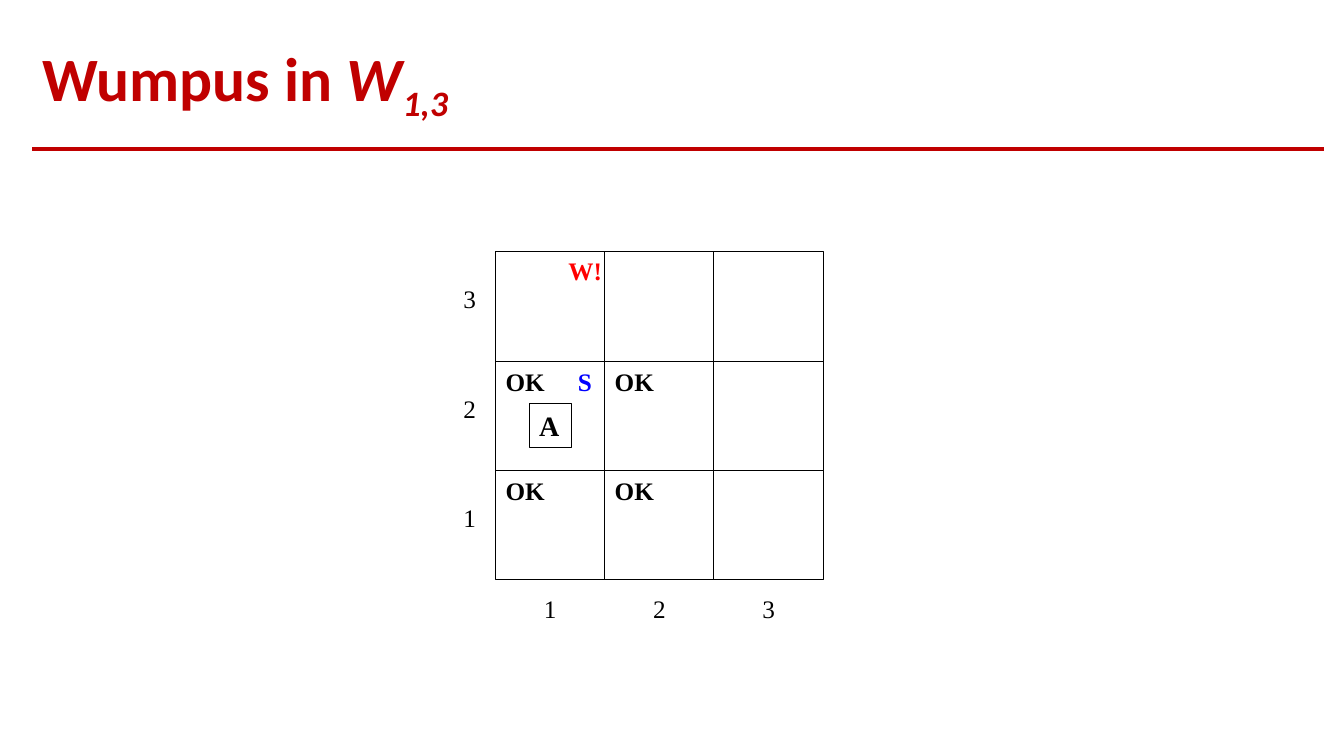
from dataclasses import dataclass

from lxml.etree import SubElement
from pptx import Presentation
from pptx.dml.color import RGBColor
from pptx.enum.shapes import MSO_CONNECTOR, MSO_SHAPE
from pptx.enum.text import MSO_ANCHOR, PP_ALIGN
from pptx.oxml.ns import qn
from pptx.util import Emu, Inches, Pt


@dataclass(frozen=True)
class Theme:
    title_font: str = "Calibri"
    map_font: str = "Times New Roman"
    title_size: int = 44
    label_size: int = 18
    agent_size: int = 20
    accent: RGBColor = RGBColor(0xC0, 0x00, 0x00)
    ink: RGBColor = RGBColor(0x00, 0x00, 0x00)
    paper: RGBColor = RGBColor(0xFF, 0xFF, 0xFF)
    stench: RGBColor = RGBColor(0x00, 0x00, 0xFF)
    wumpus: RGBColor = RGBColor(0xFF, 0x00, 0x00)


@dataclass(frozen=True)
class Mark:
    """A bold label in a room, offset from the room's top left corner."""
    text: str
    column: int
    row: int
    dx: float = 0
    dy: float = 0
    width: float = 8
    color: RGBColor = Theme.ink


THEME = Theme()

# The slide is a grid of 160 columns by 90 rows, each a twelfth of an inch.
COLUMNS, ROWS = 160, 90
ROOM, MAP_LEFT, MAP_TOP, MAP_SIZE = 13, 59, 30, 3
MARGIN, TITLE_TOP, TITLE_HEIGHT, RULE_ROW = 3.84, 3.36, 12, 17.76
LABEL_HEIGHT = 4.8

MARKS = [
    Mark("OK", 1, 1),
    Mark("OK", 1, 2),
    Mark("OK", 2, 1),
    Mark("OK", 2, 2),
    Mark("S", 1, 2, dx=8.6, width=4, color=THEME.stench),
    Mark("W!", 1, 3, dx=7.5, dy=-0.2, width=7, color=THEME.wumpus),
]


def grid(n: float) -> Emu:
    return Emu(round(n * Inches(1) / 12))


def room_corner(column: int, row: int) -> tuple[int, int]:
    """Left and top of a room; rows count upwards from 1."""
    return MAP_LEFT + (column - 1) * ROOM, MAP_TOP + (MAP_SIZE - row) * ROOM


def write(sp, text: str, size: int, color: RGBColor, bold: bool, align=PP_ALIGN.LEFT) -> None:
    tf = sp.text_frame
    tf.word_wrap = True
    tf.vertical_anchor = MSO_ANCHOR.TOP
    p = tf.paragraphs[0]
    p.text = text
    p.alignment = align
    p.font.name = THEME.map_font
    p.font.size = Pt(size)
    p.font.bold = bold
    p.font.color.rgb = color


def add_label(s, text: str, x: float, y: float, width: float,
              color: RGBColor = THEME.ink, bold: bool = False, align=PP_ALIGN.LEFT) -> None:
    sp = s.shapes.add_textbox(grid(x), grid(y), grid(width), grid(LABEL_HEIGHT))
    write(sp, text, THEME.label_size, color, bold, align)


def add_square(s, x: float, y: float, width: float, height: float):
    sp = s.shapes.add_shape(MSO_SHAPE.RECTANGLE, grid(x), grid(y), grid(width), grid(height))
    sp.shadow.inherit = False
    sp.fill.solid()
    sp.fill.fore_color.rgb = THEME.paper
    sp.line.color.rgb = THEME.ink
    sp.line.width = Pt(0.75)
    return sp


def add_title(s) -> None:
    sp = s.shapes.title
    sp.left, sp.top = grid(MARGIN), grid(TITLE_TOP)
    sp.width, sp.height = grid(COLUMNS - MARGIN - 2.32), grid(TITLE_HEIGHT)
    sp.text_frame.vertical_anchor = MSO_ANCHOR.MIDDLE
    p = sp.text_frame.paragraphs[0]
    p.alignment = PP_ALIGN.LEFT
    p.line_spacing = 0.9
    p.font.name = THEME.title_font
    p.font.size = Pt(THEME.title_size)
    p.font.bold = True
    p.font.color.rgb = THEME.accent
    p.add_run().text = "Wumpus in "
    for text in ("W", "1,3"):
        r = p.add_run()
        r.text = text
        r.font.italic = True
    r._r.get_or_add_rPr().set("baseline", "-25000")


def add_rule(s) -> None:
    line = s.shapes.add_connector(MSO_CONNECTOR.STRAIGHT, grid(MARGIN), grid(RULE_ROW),
                                  grid(COLUMNS - 2.32), grid(RULE_ROW))
    line.line.color.rgb = THEME.accent
    line.line.width = Pt(2.5)
    SubElement(line._element.spPr, qn("a:effectLst"))


def add_map(s) -> None:
    numbers = range(1, MAP_SIZE + 1)
    for column in numbers:
        for row in numbers:
            add_square(s, *room_corner(column, row), ROOM, ROOM)
    for n in numbers:
        x, y = room_corner(n, n)
        add_label(s, str(n), MAP_LEFT - 5, y + 3.2, 6)
        add_label(s, str(n), x, MAP_TOP + MAP_SIZE * ROOM + 1, ROOM, align=PP_ALIGN.CENTER)
    for mark in MARKS:
        x, y = room_corner(mark.column, mark.row)
        add_label(s, mark.text, x + mark.dx, y + mark.dy, mark.width, mark.color, bold=True)


def add_agent(s) -> None:
    x, y = room_corner(1, 2)
    sp = add_square(s, x + 4, y + 5, 5.1, 5.25)
    write(sp, "A", THEME.agent_size, THEME.ink, bold=True)


def main() -> None:
    prs = Presentation()
    prs.slide_width, prs.slide_height = grid(COLUMNS), grid(ROWS)
    s = prs.slides.add_slide(prs.slide_layouts[5])
    add_rule(s)
    add_title(s)
    add_map(s)
    add_agent(s)
    prs.save("out.pptx")


if __name__ == "__main__":
    main()
